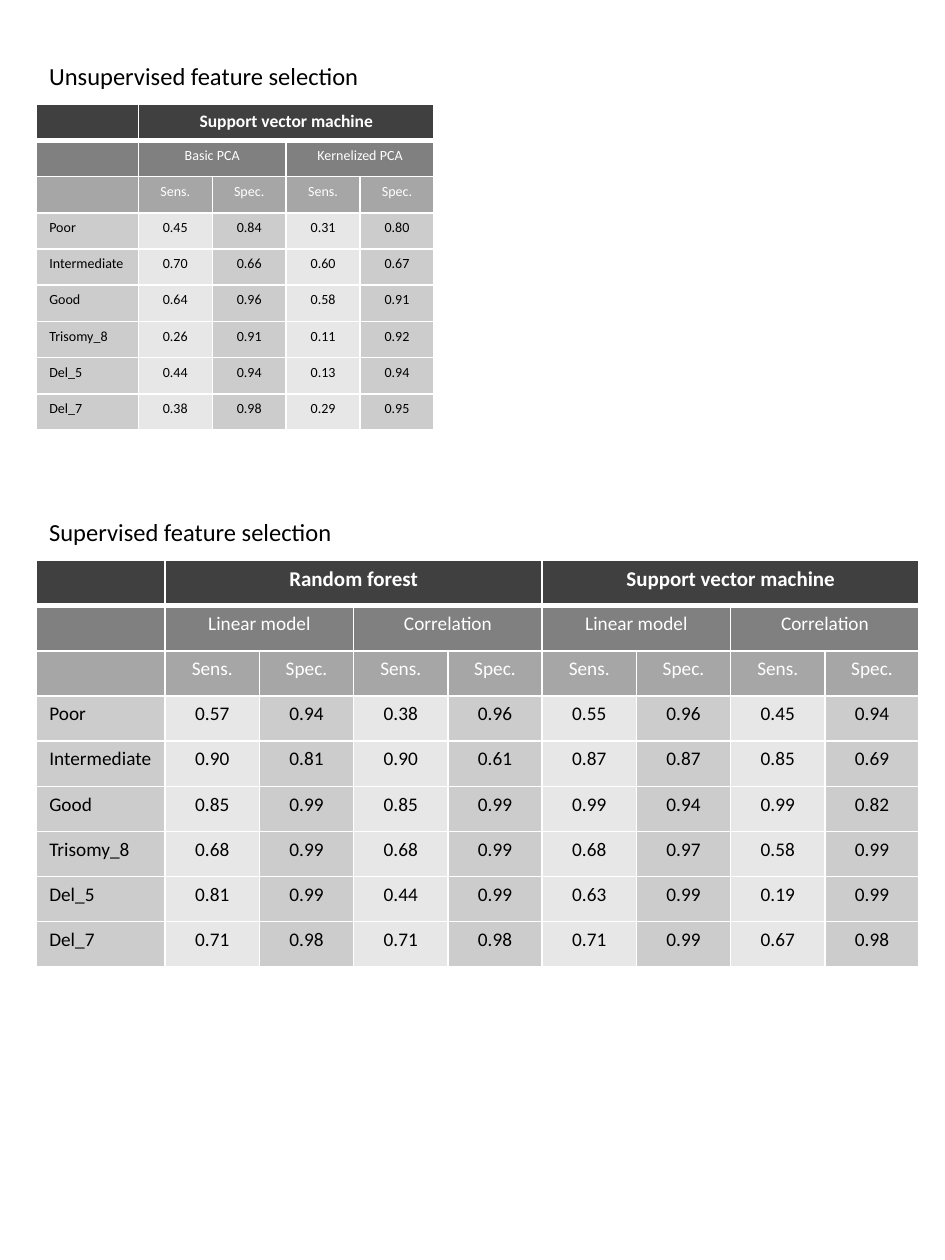
import lxml.etree
import pptx
import pptx.dml.color
import pptx.enum.text
import pptx.oxml.ns
import pptx.util

Cm = pptx.util.Cm
Pt = pptx.util.Pt
CENTER = pptx.enum.text.PP_ALIGN.CENTER
LEFT = pptx.enum.text.PP_ALIGN.LEFT
FONT = "Calibri"
WHITE, BLACK = "FFFFFF", "000000"
HEADER_FILLS = ["404040", "808080", "A6A6A6"]
LIGHT, DARK = "E7E7E7", "CCCCCC"
GROUPS = ["Poor", "Intermediate", "Good", "Trisomy_8", "Del_5", "Del_7"]
LABEL_GAP = 1.0


def color(target, hex_value):
    target.rgb = pptx.dml.color.RGBColor.from_string(hex_value)


def write(frame, text, size, ink, bold=False, align=LEFT):
    paragraph = frame.paragraphs[0]
    paragraph.alignment = align
    if text:
        run = paragraph.add_run()
        run.text = text
        run.font.name = FONT
        run.font.size = Pt(size)
        run.font.bold = bold
        color(run.font.color, ink)
    else:
        paragraph._p.get_or_add_endParaRPr().set("sz", str(size * 100))


def border(cell, widths):
    qn = pptx.oxml.ns.qn
    properties = cell._tc.get_or_add_tcPr()
    for side, width in zip("LRTB", widths):
        edge = lxml.etree.SubElement(properties, qn("a:ln" + side), w=str(Pt(width)))
        fill = lxml.etree.SubElement(edge, qn("a:solidFill"))
        lxml.etree.SubElement(fill, qn("a:srgbClr"), val=WHITE)


def spread(labels, columns):
    span = columns // len(labels)
    return [""] + [labels[i // span] if i % span == 0 else "" for i in range(columns)]


def results_section(slide, left, top, title, models, methods, scores,
                    label_width, score_width, row_height, header_size, body_size):
    heading = slide.shapes.add_textbox(Cm(left), Cm(top), Cm(11.4), Cm(0.86))
    heading.text_frame.word_wrap = True
    heading.text_frame.auto_size = pptx.enum.text.MSO_AUTO_SIZE.SHAPE_TO_FIT_TEXT
    write(heading.text_frame, title, 14, BLACK)

    columns = len(scores[0])
    rows = [spread(labels, columns)
            for labels in (models, methods, ["Sens.", "Spec."] * (columns // 2))]
    rows += [[group] + [f"{score:.2f}" for score in line]
             for group, line in zip(GROUPS, scores)]
    table = slide.shapes.add_table(
        len(rows), columns + 1, Cm(left), Cm(top + LABEL_GAP),
        Cm(label_width + columns * score_width), Cm(len(rows) * row_height)).table
    table.first_row = table.horz_banding = False
    for c, column in enumerate(table.columns):
        column.width = Cm(score_width if c else label_width)

    for r, texts in enumerate(rows):
        table.rows[r].height = Cm(row_height)
        is_header = r < len(HEADER_FILLS)
        for c, text in enumerate(texts):
            cell = table.cell(r, c)
            border(cell, (1, 1, 3 if r == 1 else 1, 3 if r == 0 else 1))
            cell.fill.solid()
            body_fill = LIGHT if c % 2 else DARK
            color(cell.fill.fore_color, HEADER_FILLS[r] if is_header else body_fill)
            write(cell.text_frame, text, body_size if r else header_size,
                  WHITE if is_header else BLACK, r == 0, CENTER if c else LEFT)

    for r, labels in enumerate((models, methods)):
        span = columns // len(labels)
        for first in range(1, columns + 1, span):
            table.cell(r, first).merge(table.cell(r, first + span - 1))


SUPERVISED = [
    [0.57, 0.94, 0.38, 0.96, 0.55, 0.96, 0.45, 0.94],
    [0.90, 0.81, 0.90, 0.61, 0.87, 0.87, 0.85, 0.69],
    [0.85, 0.99, 0.85, 0.99, 0.99, 0.94, 0.99, 0.82],
    [0.68, 0.99, 0.68, 0.99, 0.68, 0.97, 0.58, 0.99],
    [0.81, 0.99, 0.44, 0.99, 0.63, 0.99, 0.19, 0.99],
    [0.71, 0.98, 0.71, 0.98, 0.71, 0.99, 0.67, 0.98],
]
UNSUPERVISED = [
    [0.45, 0.84, 0.31, 0.80],
    [0.70, 0.66, 0.60, 0.67],
    [0.64, 0.96, 0.58, 0.91],
    [0.26, 0.91, 0.11, 0.92],
    [0.44, 0.94, 0.13, 0.94],
    [0.38, 0.98, 0.29, 0.95],
]

deck = pptx.Presentation()
deck.slide_width, deck.slide_height = Cm(19.05), Cm(25.4)
page = deck.slides.add_slide(deck.slide_layouts[6])

results_section(page, 0.74, 10.3, "Supervised feature selection",
                ["Random forest", "Support vector machine"],
                ["Linear model", "Correlation"] * 2, SUPERVISED,
                label_width=2.59, score_width=1.9, row_height=0.91,
                header_size=12, body_size=11)
results_section(page, 0.74, 1.1, "Unsupervised feature selection",
                ["Support vector machine"],
                ["Basic PCA", "Kernelized PCA"], UNSUPERVISED,
                label_width=2.05, score_width=1.49, row_height=0.73,
                header_size=10, body_size=8)

deck.save("out.pptx")
